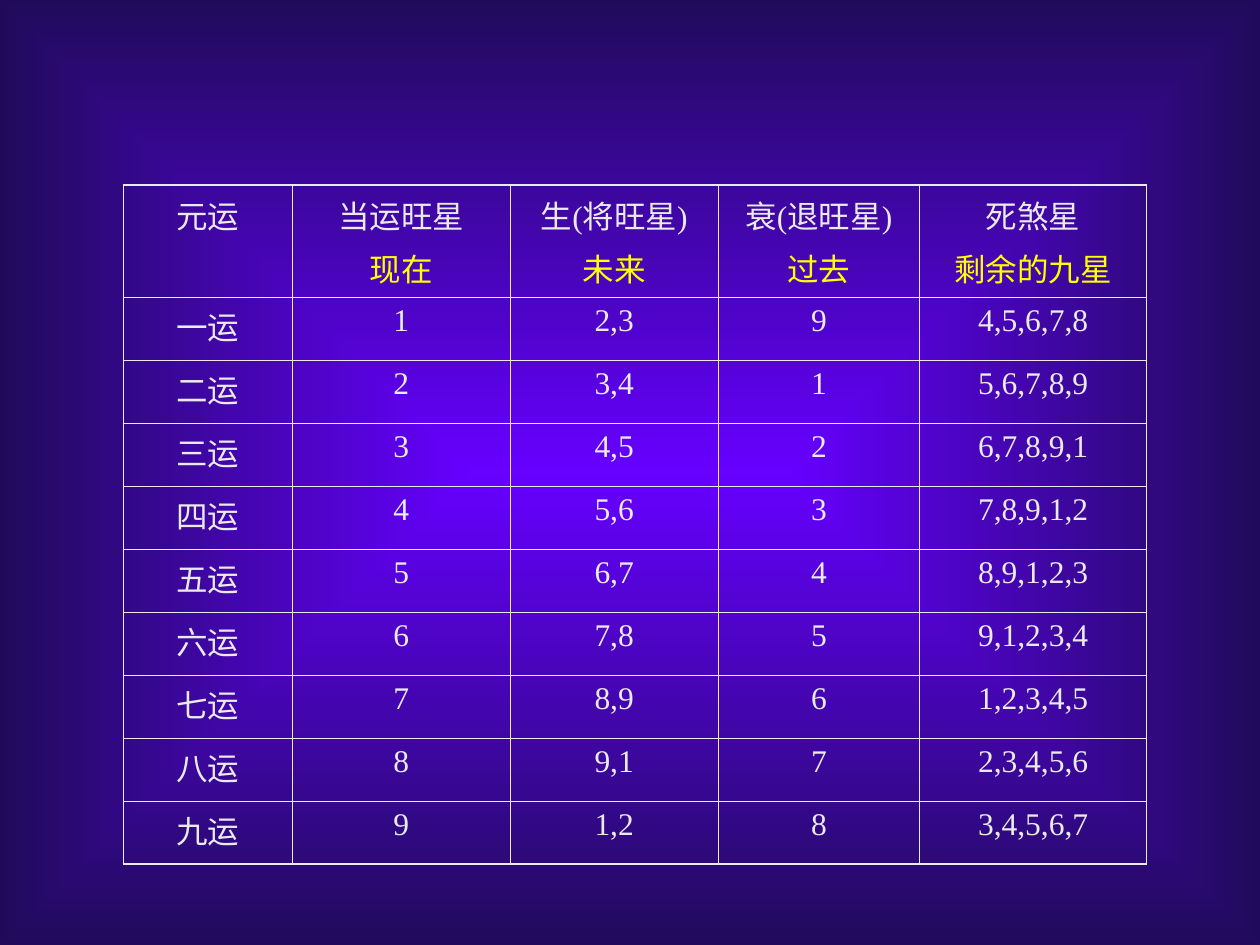
from lxml.etree import SubElement
from pptx import Presentation
from pptx.dml.color import RGBColor
from pptx.enum.text import PP_ALIGN
from pptx.oxml import parse_xml
from pptx.oxml.ns import nsdecls, qn
from pptx.util import Inches, Pt

PALE = RGBColor(0xEA, 0xEA, 0xEA)
YELLOW = RGBColor(0xFF, 0xFF, 0x00)
VIOLET = RGBColor(0x66, 0x00, 0xFF)
NIGHT = RGBColor(0x20, 0x0B, 0x5B)
FONT = "Times New Roman"
OUTER, INNER = Pt(1.08), Pt(0.45)

COLUMN_WIDTHS = [1.34, 1.73, 1.65, 1.6, 1.8]
HEADER_HEIGHT, ROW_HEIGHT = 0.77, 0.5
HEADINGS = [
    ("元运",),
    ("当运旺星", "现在"),
    ("生(将旺星)", "未来"),
    ("衰(退旺星)", "过去"),
    ("死煞星", "剩余的九星"),
]
PERIODS = "一二三四五六七八九"


def stars(period, *offsets):
    """List the stars at these offsets from the period, counting round from 9 to 1."""
    return ",".join(str((period + offset - 1) % 9 + 1) for offset in offsets)


def period_row(period, numeral):
    return [
        (f"{numeral}运",),
        (stars(period, 0),),
        (stars(period, 1, 2),),
        (stars(period, -1),),
        (stars(period, *range(3, 8)),),
    ]


def paint_background(slide):
    """Fill the background with a gradient that darkens from the centre outwards."""
    fill = slide.background.fill
    fill.gradient()
    for stop, color in zip(fill.gradient_stops, (VIOLET, NIGHT)):
        stop.color.rgb = color
    gradient = slide.element.find(".//" + qn("a:gradFill"))
    linear = gradient.find(qn("a:lin"))
    centred = parse_xml(
        f'<a:path {nsdecls("a")} path="rect">'
        '<a:fillToRect l="50000" t="50000" r="50000" b="50000"/></a:path>'
    )
    gradient.replace(linear, centred)


def write_line(paragraph, text, *, color=PALE, size=18, space_before=4.5):
    paragraph.alignment = PP_ALIGN.CENTER
    paragraph.space_before = Pt(space_before)
    run = paragraph.add_run()
    run.text = text
    run.font.name = FONT
    run.font.size = Pt(size)
    run.font.color.rgb = color


def draw_borders(cell, widths):
    properties = cell._tc.get_or_add_tcPr()
    for side, width in widths.items():
        border = SubElement(properties, qn(f"a:ln{side}"), w=str(width))
        solid = SubElement(border, qn("a:solidFill"))
        SubElement(solid, qn("a:srgbClr"), val=str(PALE))


def fill_cell(cell, lines):
    frame = cell.text_frame
    for index, (text, color) in enumerate(zip(lines, (PALE, YELLOW))):
        paragraph = frame.add_paragraph() if index else frame.paragraphs[0]
        write_line(paragraph, text, color=color)


def add_star_table(slide, rows):
    last_row, last_column = len(rows) - 1, len(COLUMN_WIDTHS) - 1
    height = HEADER_HEIGHT + ROW_HEIGHT * last_row
    table = slide.shapes.add_table(
        len(rows), len(COLUMN_WIDTHS),
        Inches(0.98), Inches(1.47), Inches(sum(COLUMN_WIDTHS)), Inches(height),
    ).table
    table.first_row = table.horz_banding = False
    for column, width in zip(table.columns, COLUMN_WIDTHS):
        column.width = Inches(width)
    for r, contents in enumerate(rows):
        table.rows[r].height = Inches(ROW_HEIGHT if r else HEADER_HEIGHT)
        for c, lines in enumerate(contents):
            cell = table.cell(r, c)
            fill_cell(cell, lines)
            draw_borders(cell, {
                "L": INNER if c else OUTER,
                "R": OUTER if c == last_column else INNER,
                "T": INNER if r else OUTER,
                "B": OUTER if r == last_row else INNER,
            })
            cell.fill.background()


def main():
    presentation = Presentation()
    presentation.slide_width = Inches(10)
    presentation.slide_height = Inches(7.5)
    slide = presentation.slides.add_slide(presentation.slide_layouts[6])
    paint_background(slide)
    period_rows = [period_row(n, numeral) for n, numeral in enumerate(PERIODS, 1)]
    add_star_table(slide, [HEADINGS] + period_rows)
    presentation.save("out.pptx")


if __name__ == "__main__":
    main()
